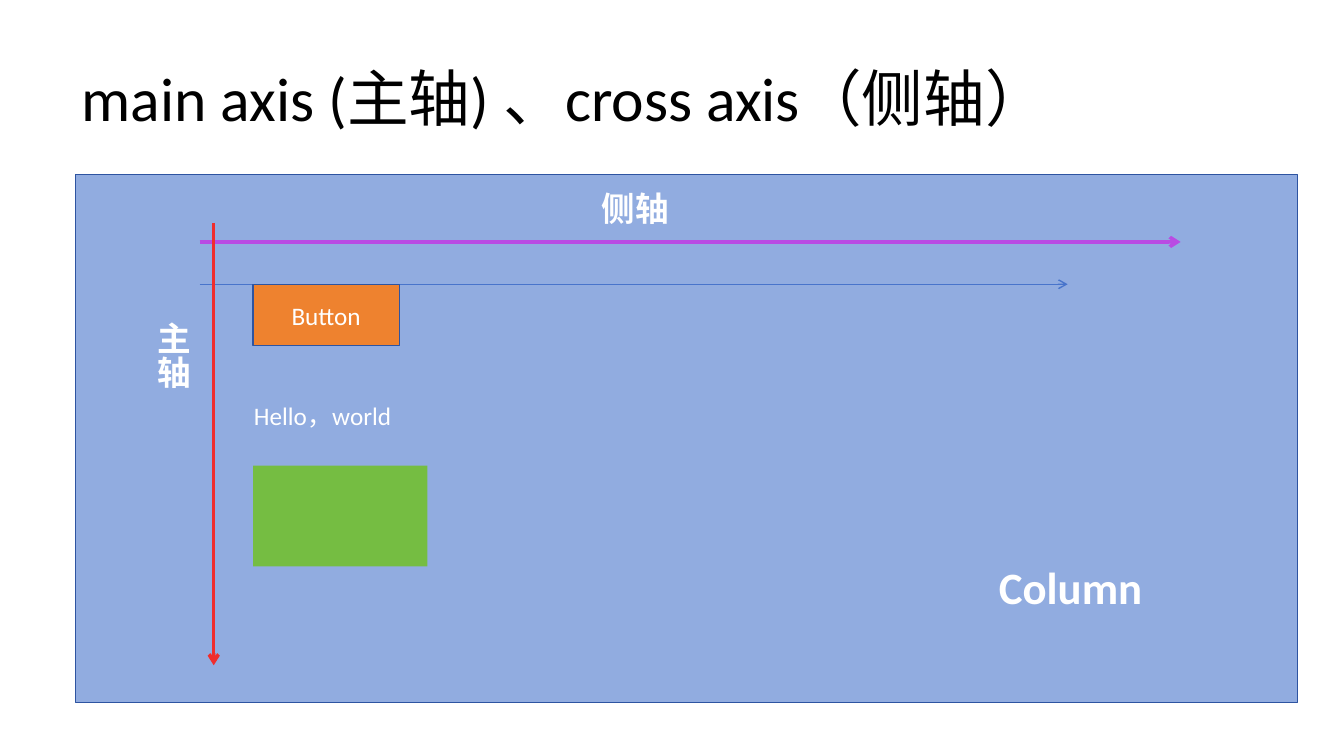
import pptx
import pptx.dml.color
import pptx.enum.shapes
import pptx.enum.text
import pptx.oxml.ns
import pptx.util
from lxml import etree

PX = 9144  # EMU per px, 100 px to the inch
COLOURS = {
    "black": "000000",
    "white": "FFFFFF",
    "column": "91ACE0",
    "outline": "2E54A1",
    "guide": "4874CB",
    "cross": "B94BE3",
    "main": "F02D2D",
    "button": "EE822F",
    "box": "75BD42",
}


class AxisSlide:
    """Holds the style and the current slide."""

    def __init__(self, presentation, font="Calibri"):
        self.slide = presentation.slides.add_slide(presentation.slide_layouts[6])
        self.font = font

    def colour(self, name):
        return pptx.dml.color.RGBColor.from_string(COLOURS[name])

    def lengths(self, *pixels):
        return [pptx.util.Emu(pixel * PX) for pixel in pixels]

    def add_text(self, shape, text, size, colour="white", **paragraph_format):
        paragraph = shape.text_frame.paragraphs[0]
        for name, value in paragraph_format.items():
            setattr(paragraph, name, value)
        run = paragraph.add_run()
        run.text = text
        run.font.size = pptx.util.Pt(size)
        run.font.color.rgb = self.colour(colour)
        run.font.name = self.font
        return run

    def rectangle(self, left, top, width, height, fill, line=None):
        shape = self.slide.shapes.add_shape(
            pptx.enum.shapes.MSO_SHAPE.RECTANGLE,
            *self.lengths(left, top, width, height))
        shape.shadow.inherit = False
        shape.fill.solid()
        shape.fill.fore_color.rgb = self.colour(fill)
        if line:
            shape.line.color.rgb = self.colour(line)
            shape.line.width = pptx.util.Pt(1)
        else:
            shape.line.fill.background()
        return shape

    def label(self, left, top, width, height, text, size, colour="white",
              bold=False, middle=False, vertical=False, **paragraph_format):
        box = self.slide.shapes.add_textbox(*self.lengths(left, top, width, height))
        frame = box.text_frame
        frame.word_wrap = True
        if middle:
            frame.vertical_anchor = pptx.enum.text.MSO_ANCHOR.MIDDLE
        if vertical:
            body = frame._txBody.find(pptx.oxml.ns.qn("a:bodyPr"))
            body.set("vert", "eaVert")
        self.add_text(box, text, size, colour, **paragraph_format).font.bold = bold

    def arrow(self, start, end, colour, width):
        connector = self.slide.shapes.add_connector(
            pptx.enum.shapes.MSO_CONNECTOR.STRAIGHT, *self.lengths(*start, *end))
        connector.line.color.rgb = self.colour(colour)
        connector.line.width = pptx.util.Pt(width)
        properties = connector._element.spPr
        line = properties.find(pptx.oxml.ns.qn("a:ln"))
        etree.SubElement(line, pptx.oxml.ns.qn("a:tailEnd"), type="arrow")
        etree.SubElement(properties, pptx.oxml.ns.qn("a:effectLst"))


def main():
    presentation = pptx.Presentation()
    presentation.slide_width = pptx.util.Emu(1333 * PX)
    presentation.slide_height = pptx.util.Emu(750 * PX)
    page = AxisSlide(presentation)

    # Column container and title
    page.rectangle(75, 173, 1212, 524, "column", "outline")
    page.label(71, 28, 1150, 145, "main axis (主轴) 、cross axis（侧轴）", 44,
               "black", middle=True, line_spacing=0.9)

    # Axes
    page.arrow((198, 282), (1059, 282), "guide", 1)
    page.arrow((198, 240), (1171, 240), "cross", 2.5)
    page.arrow((212, 221), (212, 660), "main", 2.5)

    # Children of the column
    button = page.rectangle(251, 282, 145, 61, "button", "outline")
    button.text_frame.vertical_anchor = pptx.enum.text.MSO_ANCHOR.MIDDLE
    page.add_text(button, "Button", 18, alignment=pptx.enum.text.PP_ALIGN.CENTER)
    page.label(242, 392, 444, 40, "Hello，world", 18)
    page.rectangle(251, 462, 173, 100, "box")

    # Names of the axes and the container
    page.label(137, 310, 60, 102, "主轴", 24, bold=True, vertical=True)
    page.label(587, 182, 100, 50, "侧轴", 24, bold=True)
    page.label(981, 550, 300, 64, "Column", 32, bold=True)

    presentation.save("out.pptx")


if __name__ == "__main__":
    main()
